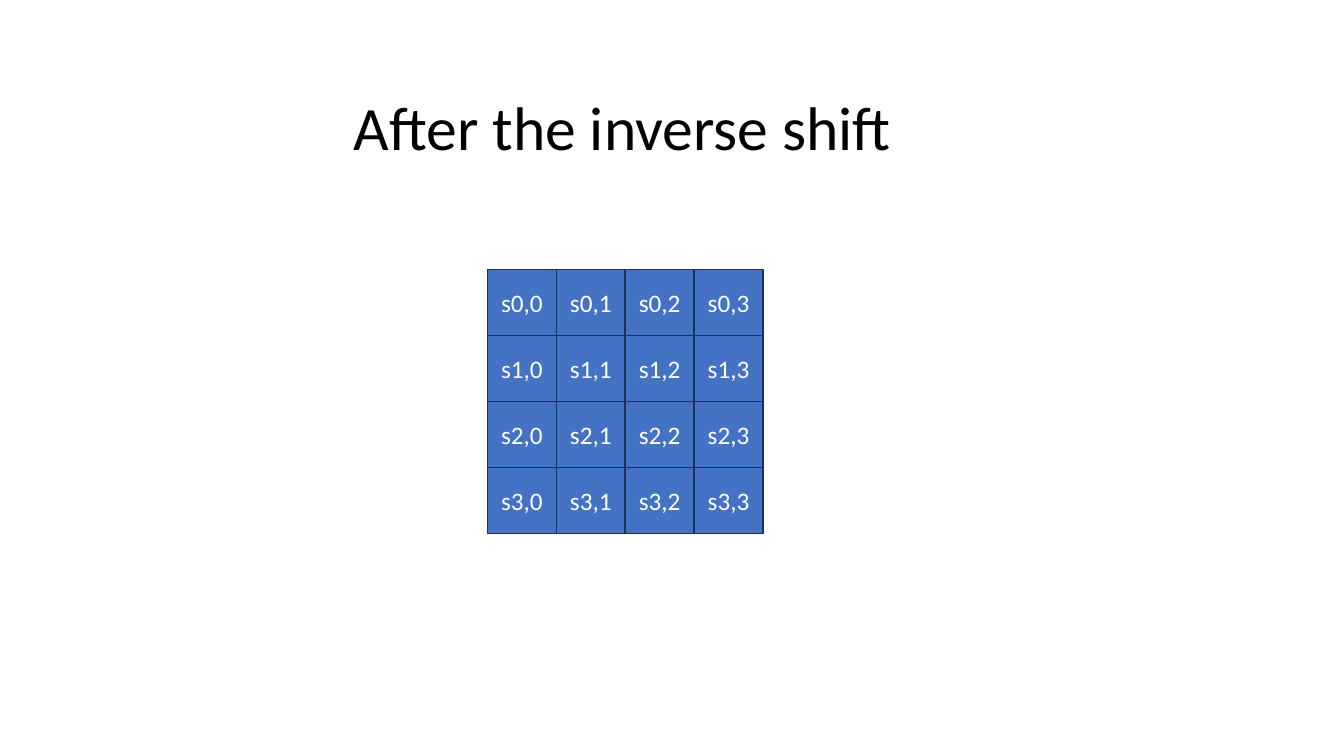
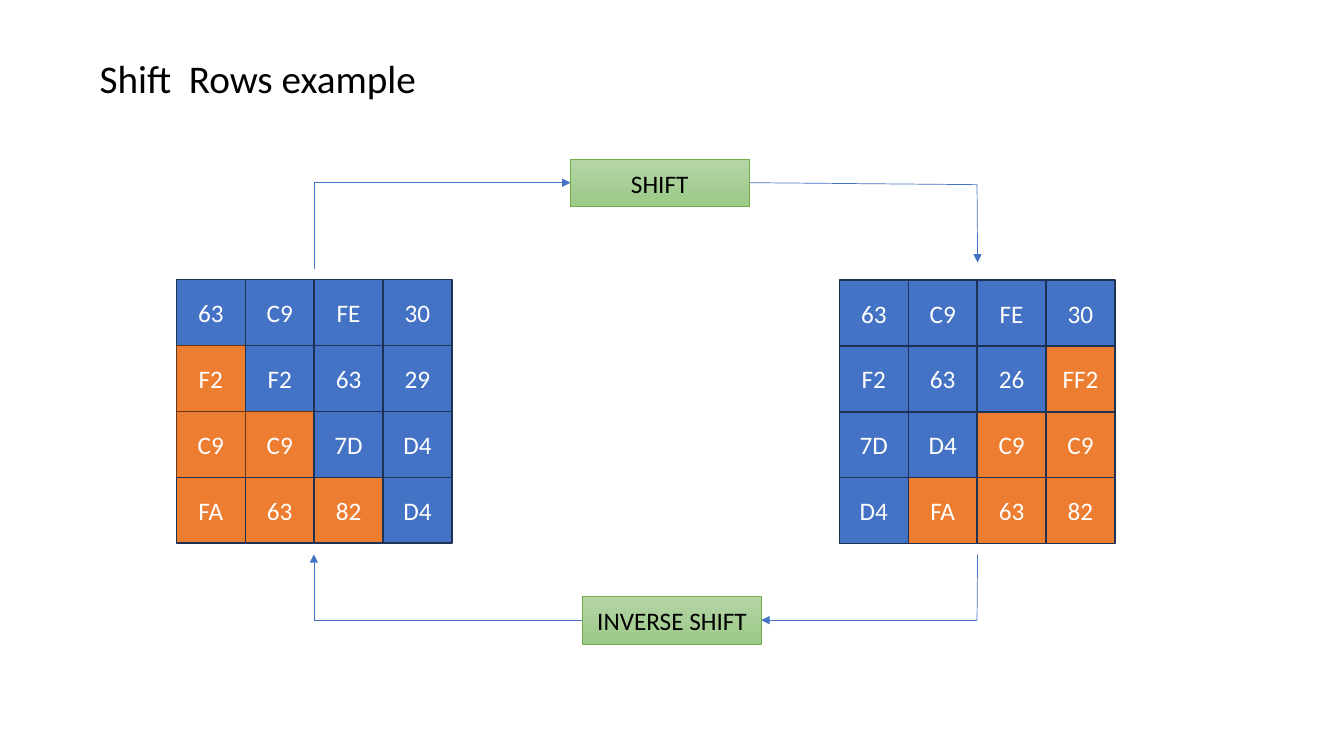
"""Build two slides on the AES shift rows step and its inverse."""
from lxml.etree import SubElement
from pptx import Presentation
from pptx.dml.color import RGBColor
from pptx.enum.shapes import MSO_CONNECTOR as Connector, MSO_SHAPE as Shape
from pptx.enum.text import MSO_ANCHOR as Anchor, PP_ALIGN as Align
from pptx.oxml.ns import qn
from pptx.util import Pt

COLORS = {
    "blue": "4472C4", "navy": "1E3256", "orange": "ED7D31", "brown": "683715",
    "green": "70AD47", "green_top": "B5D5A7", "green_bottom": "9CC987",
    "black": "000000", "white": "FFFFFF",
}
RGB = {name: RGBColor.from_string(value) for name, value in COLORS.items()}
FONT = "Calibri"
CELL_WIDTH, CELL_HEIGHT = 49.2, 47.1
BOX_WIDTH, BOX_HEIGHT = 127.5, 33.9
CELL_STYLES = {"b": ("blue", "navy"), "o": ("orange", "navy"), "r": ("orange", "brown")}


def write_text(shape, text, size, color, align, anchor):
    frame = shape.text_frame
    frame.vertical_anchor = anchor
    paragraph = frame.paragraphs[0]
    paragraph.alignment = align
    run = paragraph.add_run()
    run.text = text
    run.font.name = FONT
    run.font.size = Pt(size)
    run.font.color.rgb = RGB[color]
    return paragraph


def add_box(slide, left, top, width, height, text, line, line_width, text_color):
    shape = slide.shapes.add_shape(Shape.RECTANGLE, Pt(left), Pt(top), Pt(width), Pt(height))
    shape.shadow.inherit = False
    shape.line.color.rgb = RGB[line]
    shape.line.width = Pt(line_width)
    shape.text_frame.word_wrap = False
    write_text(shape, text, 18, text_color, Align.CENTER, Anchor.MIDDLE)
    return shape


presentation = Presentation()
presentation.slide_width, presentation.slide_height = Pt(960), Pt(540)
blank = presentation.slide_layouts[6]
inverse_slide = presentation.slides.add_slide(blank)
example_slide = presentation.slides.add_slide(blank)

titles = [
    (inverse_slide, 245.5, 41, 828, 104.4, "After the inverse shift", 44, Anchor.MIDDLE, 0.9),
    (example_slide, 64, 35.3, 418.3, 41, "Shift  Rows example", 28, Anchor.TOP, 1.0),
]
for slide, left, top, width, height, text, size, anchor, spacing in titles:
    title = slide.shapes.add_textbox(Pt(left), Pt(top), Pt(width), Pt(height))
    title.text_frame.word_wrap = True
    paragraph = write_text(title, text, size, "black", Align.LEFT, anchor)
    paragraph.line_spacing = spacing

state_names = [" ".join(f"s{row},{column}" for column in range(4)) for row in range(4)]
before_shift = ["63 C9 FE 30", "F2 F2 63 29", "C9 C9 7D D4", "FA 63 82 D4"]
after_shift = ["63 C9 FE 30", "F2 63 26 FF2", "7D D4 C9 C9", "D4 FA 63 82"]
grids = [
    (inverse_slide, 348.2, 192.5, state_names, ["bbbb"] * 4),
    (example_slide, 126, 199.6, before_shift, ["bbbb", "rbbb", "rrbb", "ooob"]),
    (example_slide, 599.6, 200, after_shift, ["bbbb", "bbbo", "bboo", "booo"]),
]
for slide, left, top, rows, styles in grids:
    for row, (values, codes) in enumerate(zip(rows, styles)):
        for column, (value, code) in enumerate(zip(values.split(), codes)):
            fill, line = CELL_STYLES[code]
            cell = add_box(slide, left + column * CELL_WIDTH, top + row * CELL_HEIGHT,
                           CELL_WIDTH, CELL_HEIGHT, value, line, 1, "white")
            cell.fill.solid()
            cell.fill.fore_color.rgb = RGB[fill]

lines = [
    (Connector.ELBOW, 224.2, 191.6, 407.5, 130.5, True),
    (Connector.STRAIGHT, 535, 130.5, 697.9, 131.9, False),
    (Connector.STRAIGHT, 697.9, 131.9, 698.3, 187.5, True),
    (Connector.STRAIGHT, 698.3, 396, 697.9, 443, False),
    (Connector.STRAIGHT, 697.9, 443, 543.8, 443, True),
    (Connector.STRAIGHT, 416.3, 443, 224.2, 443, False),
    (Connector.STRAIGHT, 224.2, 443, 224.2, 396, True),
]
for kind, start_x, start_y, end_x, end_y, has_arrow in lines:
    connector = example_slide.shapes.add_connector(
        kind, Pt(start_x), Pt(start_y), Pt(end_x), Pt(end_y))
    connector.line.color.rgb = RGB["blue"]
    connector.line.width = Pt(0.5)
    properties = connector._element.spPr
    if has_arrow:
        SubElement(properties.find(qn("a:ln")), qn("a:tailEnd"), type="triangle")
    if kind == Connector.ELBOW:
        adjustments = properties.find(qn("a:prstGeom")).find(qn("a:avLst"))
        SubElement(adjustments, qn("a:gd"), name="adj1", fmla="val 200")
    SubElement(properties, qn("a:effectLst"))

for left, top, text in [(407.5, 113.8, "SHIFT"), (416.3, 426.2, "INVERSE SHIFT")]:
    box = add_box(example_slide, left, top, BOX_WIDTH, BOX_HEIGHT, text, "green", 0.5, "black")
    box.fill.gradient()
    box.fill.gradient_angle = 270
    for stop, color in zip(box.fill.gradient_stops, ("green_top", "green_bottom")):
        stop.color.rgb = RGB[color]

presentation.save("out.pptx")
